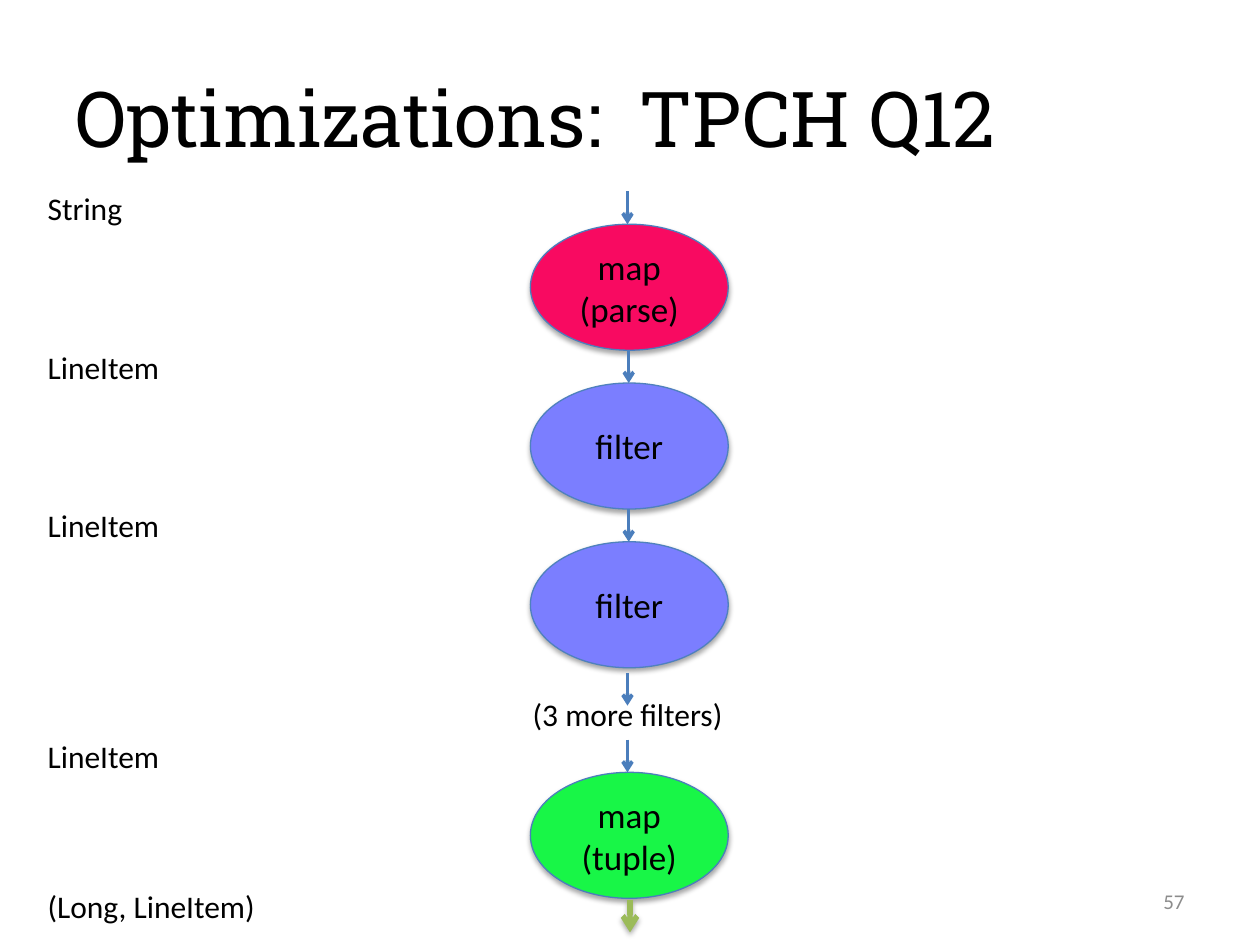
from lxml import etree
from pptx import Presentation
from pptx.dml.color import RGBColor
from pptx.enum.shapes import MSO_CONNECTOR, MSO_SHAPE
from pptx.enum.text import MSO_ANCHOR as Anchor, MSO_AUTO_SIZE as AutoSize, PP_ALIGN as Align
from pptx.oxml import parse_xml
from pptx.oxml.ns import nsdecls, qn
from pptx.util import Inches, Pt

TITLE = "Optimizations:  TPCH Q12"
PAGE_NUMBER = "57"
BLUE, GREEN = "4B7EBC", "9BBB59"
OPERATORS = [
    ("map (parse)", 1.78, "F80A61", BLUE),
    ("filter", 3.04, "7B7EFF", "4F81BD"),
    ("filter", 4.3, "7B7EFF", "4F81BD"),
    ("map (tuple)", 6.13, "18F647", BLUE),
]
LABELS = [
    ("String", 0.28, 1.45, 0.8),
    ("LineItem", 0.28, 2.71, 1.1),
    ("LineItem", 0.28, 3.97, 1.1),
    ("LineItem", 0.28, 5.8, 1.1),
    ("(Long, LineItem)", 0.28, 6.99, 1.87),
    ("(3 more filters)", 4.13, 5.47, 1.73),
]
ARROWS = [
    (4.98, 1.52, BLUE, 2),
    (4.99, 2.78, BLUE, 2),
    (4.99, 4.04, BLUE, 2),
    (4.98, 5.34, BLUE, 2),
    (4.98, 5.87, BLUE, 2),
    (5, 7.14, GREEN, 3),
]
OPERATOR_LEFT, OPERATOR_WIDTH, OPERATOR_HEIGHT = 4.21, 1.57, 1
ARROW_LENGTH = 0.26


def color(value):
    """Turn a hex string into a colour."""
    return RGBColor.from_string(value)


def box(left, top, width, height):
    """Convert a frame in inches to lengths."""
    return [Inches(side) for side in (left, top, width, height)]


def write(frame, words, size, font="Calibri", ink="000000", align=Align.LEFT):
    """Write one run of styled text."""
    paragraph = frame.paragraphs[0]
    paragraph.alignment = align
    run = paragraph.add_run()
    run.text = words
    run.font.size, run.font.name = Pt(size), font
    run.font.color.rgb = color(ink)


def set_effects(shape, shadowed):
    """Give a shape a soft drop shadow or no effect at all."""
    shadow = (
        f'<a:outerShdw blurRad="{Pt(3.1)}" dist="{Pt(1.8)}" dir="5400000" rotWithShape="0">'
        '<a:srgbClr val="000000"><a:alpha val="35000"/></a:srgbClr></a:outerShdw>'
    )
    effects = f'<a:effectLst {nsdecls("a")}>{shadow if shadowed else ""}</a:effectLst>'
    shape._element.spPr.append(parse_xml(effects))


def add_operator(slide, words, top, fill, outline):
    """Draw one operator of the pipeline."""
    operator = slide.shapes.add_shape(
        MSO_SHAPE.OVAL, *box(OPERATOR_LEFT, top, OPERATOR_WIDTH, OPERATOR_HEIGHT))
    operator.fill.solid()
    operator.fill.fore_color.rgb = color(fill)
    operator.line.color.rgb = color(outline)
    operator.line.width = Pt(0.75)
    set_effects(operator, True)
    operator.text_frame.vertical_anchor = Anchor.MIDDLE
    write(operator.text_frame, words, 20, align=Align.CENTER)


def add_arrow(slide, x, top, ink, weight):
    """Draw one downward arrow."""
    arrow = slide.shapes.add_connector(
        MSO_CONNECTOR.STRAIGHT, *box(x, top, x, top + ARROW_LENGTH))
    arrow.line.color.rgb = color(ink)
    arrow.line.width = Pt(weight)
    etree.SubElement(arrow.line._get_or_add_ln(), qn("a:tailEnd"), type="arrow")
    set_effects(arrow, ink == GREEN)


def add_label(slide, words, left, top, width):
    """Place one label on a single line."""
    frame = slide.shapes.add_textbox(*box(left, top, width, 0.4)).text_frame
    frame.word_wrap = False
    frame.auto_size = AutoSize.SHAPE_TO_FIT_TEXT
    write(frame, words, 18)


deck = Presentation()
deck.slide_width, deck.slide_height = Inches(10), Inches(7.5)
slide = deck.slides.add_slide(deck.slide_layouts[5])

title = slide.shapes.title
title.left, title.top, title.width, title.height = box(0.5, 0.3, 9, 1.25)
title.text_frame.vertical_anchor = Anchor.MIDDLE
write(title.text_frame, TITLE, 44, font="Roboto Slab")

for operator in OPERATORS:
    add_operator(slide, *operator)
for arrow in ARROWS:
    add_arrow(slide, *arrow)
for label in LABELS:
    add_label(slide, *label)

page = slide.shapes.add_textbox(*box(7.17, 6.95, 2.33, 0.4)).text_frame
page.word_wrap = True
page.vertical_anchor = Anchor.MIDDLE
write(page, PAGE_NUMBER, 12, ink="8C8C8C", align=Align.RIGHT)

deck.save("out.pptx")
